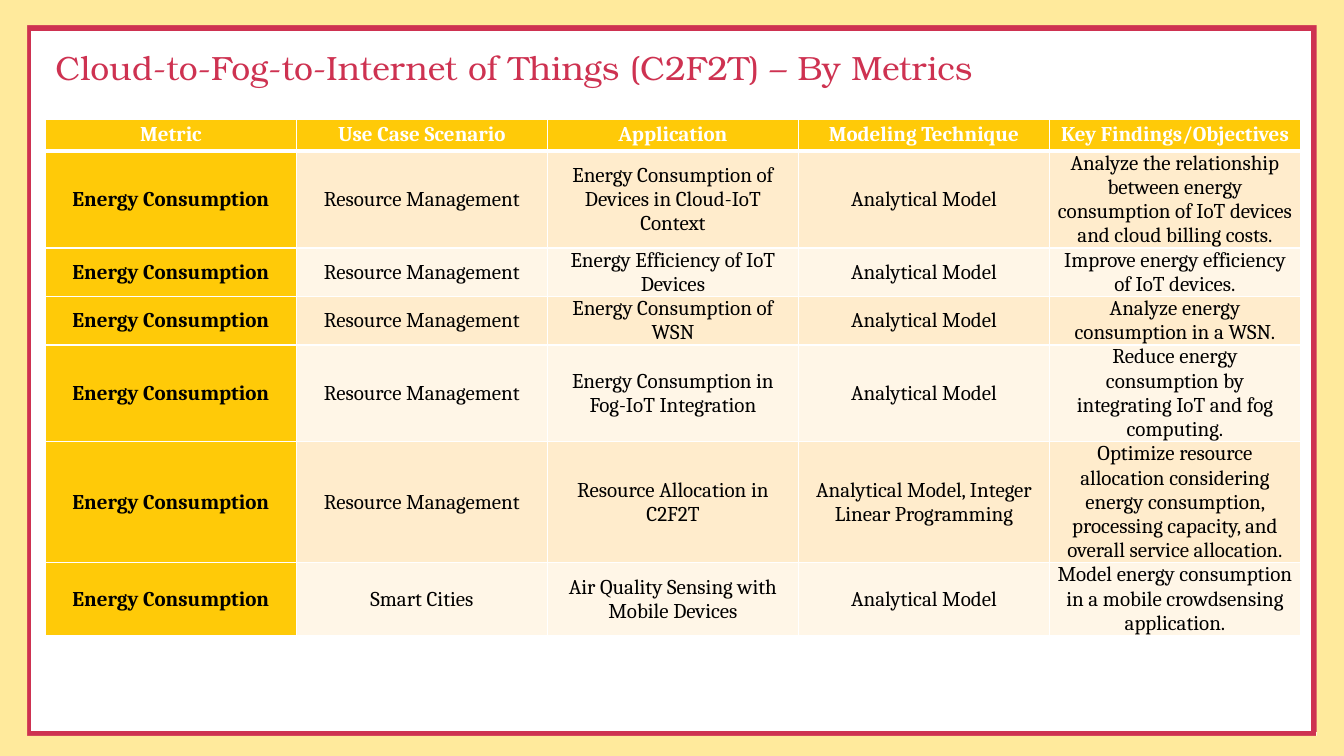
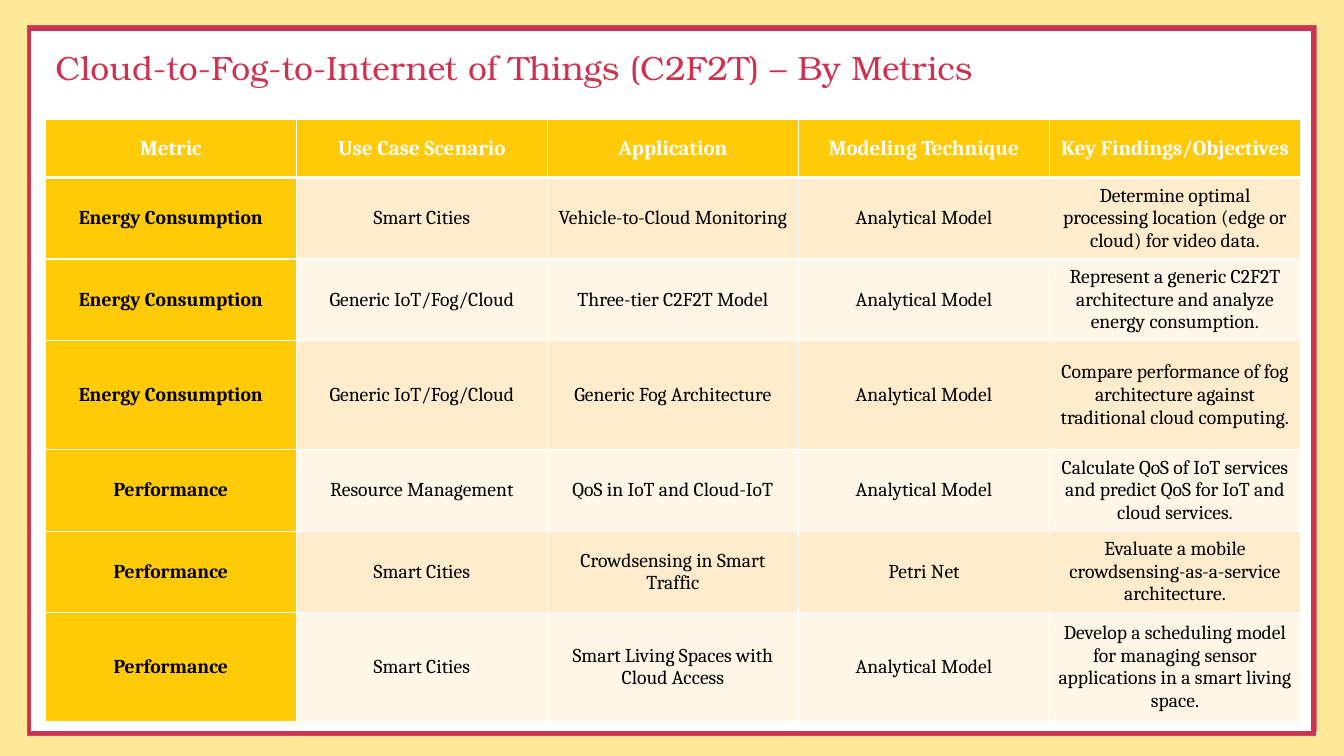
from dataclasses import dataclass

from lxml import etree
from pptx import Presentation
from pptx.dml.color import RGBColor
from pptx.enum.shapes import MSO_CONNECTOR, MSO_SHAPE
from pptx.enum.text import MSO_ANCHOR, MSO_AUTO_SIZE, PP_ALIGN
from pptx.oxml.ns import qn
from pptx.util import Inches, Pt

LINE, RECT = MSO_CONNECTOR.STRAIGHT, MSO_SHAPE.RECTANGLE
MIDDLE, FIXED = MSO_ANCHOR.MIDDLE, MSO_AUTO_SIZE.NONE
LEFT, CENTER = PP_ALIGN.LEFT, PP_ALIGN.CENTER


@dataclass(frozen=True)
class Theme:
    red: str = "CE3251"
    sand: str = "FFEA9C"
    gold: str = "FFCA08"
    peach: str = "FFECCC"
    cream: str = "FFF6E7"
    white: str = "FFFFFF"
    black: str = "000000"
    serif: str = "TeX Gyre Bonum"
    body: str = "Cambria"
    title: int = 24
    head: int = 15
    rule: float = 4.5


THEME = Theme()
TITLE = "Cloud-to-Fog-to-Internet of Things (C2F2T) – By Metrics"
HEADS = ("Metric", "Use Case Scenario", "Application",
         "Modeling Technique", "Key Findings/Objectives")
ENERGY, SPEED = "Energy Consumption", "Performance"
RESOURCE, CITY = "Resource Management", "Smart Cities"
GENERIC, MODEL = "Generic IoT/Fog/Cloud", "Analytical Model"

# Each page: body type size, space after, row heights, rows
PAGES = [
    {
        "size": 15, "after": 0,
        "heights": (0.32, 0.95, 0.48, 0.48, 0.96, 1.2, 0.72),
        "rows": [
            (ENERGY, RESOURCE, "Energy Consumption of Devices in Cloud-IoT Context", MODEL,
             "Analyze the relationship between energy consumption of IoT devices "
             "and cloud billing costs."),
            (ENERGY, RESOURCE, "Energy Efficiency of IoT Devices", MODEL,
             "Improve energy efficiency of IoT devices."),
            (ENERGY, RESOURCE, "Energy Consumption of WSN", MODEL,
             "Analyze energy consumption in a WSN."),
            (ENERGY, RESOURCE, "Energy Consumption in Fog-IoT Integration", MODEL,
             "Reduce energy consumption by integrating IoT and fog computing."),
            (ENERGY, RESOURCE, "Resource Allocation in C2F2T",
             "Analytical Model, Integer Linear Programming",
             "Optimize resource allocation considering energy consumption, "
             "processing capacity, and overall service allocation."),
            (ENERGY, CITY, "Air Quality Sensing with Mobile Devices", MODEL,
             "Model energy consumption in a mobile crowdsensing application."),
        ],
    },
    {
        "size": 14, "after": 8,
        "heights": (0.58, 0.81, 0.81, 1.08, 0.81, 0.81, 1.08),
        "rows": [
            (ENERGY, CITY, "Vehicle-to-Cloud Monitoring", MODEL,
             "Determine optimal processing location (edge or cloud) for video data."),
            (ENERGY, GENERIC, "Three-tier C2F2T Model", MODEL,
             "Represent a generic C2F2T architecture and analyze energy consumption."),
            (ENERGY, GENERIC, "Generic Fog Architecture", MODEL,
             "Compare performance of fog architecture against traditional cloud computing."),
            (SPEED, RESOURCE, "QoS in IoT and Cloud-IoT", MODEL,
             "Calculate QoS of IoT services and predict QoS for IoT and cloud services."),
            (SPEED, CITY, "Crowdsensing in Smart Traffic", "Petri Net",
             "Evaluate a mobile crowdsensing-as-a-service architecture."),
            (SPEED, CITY, "Smart Living Spaces with Cloud Access", MODEL,
             "Develop a scheduling model for managing sensor applications "
             "in a smart living space."),
        ],
    },
]

WIDE, HIGH = 13.33, 7.5
EDGE, SPAN = 0.45, 12.45
RULES = [(0.26, 7.28, 13.05, 7.28), (0.28, 0.28, 0.28, 7.3),
         (0.27, 0.28, 13.06, 0.28), (13.03, 0.24, 13.03, 7.26)]
BANDS = [(0, 0, WIDE, 0.25), (0, 7.3, WIDE, 0.2),
         (13.06, 0.25, 0.27, 7.05), (0, 0.25, 0.27, 7.05)]


def color(code):
    return RGBColor.from_string(code)


def write(para, text, font, size, ink, bold=False):
    run = para.add_run()
    run.text = text
    run.font.name, run.font.size, run.font.bold = font, Pt(size), bold
    run.font.color.rgb = color(ink)


def add_frame(slide, layout):
    """Draw the red rules and sand bands, then move them to the layout."""
    parts = []
    for ends in RULES:
        rule = slide.shapes.add_connector(LINE, *map(Inches, ends))
        rule.line.color.rgb = color(THEME.red)
        rule.line.width = Pt(THEME.rule)
        etree.SubElement(rule.element.spPr, qn("a:effectLst"))
        parts.append(rule.element)
    for area in BANDS:
        band = slide.shapes.add_shape(RECT, *map(Inches, area))
        band.shadow.inherit = False
        band.fill.solid()
        band.fill.fore_color.rgb = color(THEME.sand)
        band.line.fill.background()
        parts.append(band.element)
    tree = layout.shapes.element
    for spot, part in enumerate(parts, 2):
        tree.insert(spot, part)


def add_title(slide):
    title = slide.shapes.title
    title.left, title.top = Inches(EDGE), Inches(0.35)
    title.width, title.height = Inches(SPAN), Inches(0.69)
    frame = title.text_frame
    frame.auto_size, frame.word_wrap = FIXED, True
    frame.vertical_anchor = MIDDLE
    para = frame.paragraphs[0]
    para.alignment, para.line_spacing = LEFT, 0.9
    write(para, TITLE, THEME.serif, THEME.title, THEME.red)


def set_edges(cell, head, below):
    """Give a cell white borders, thick between header and body."""
    props = cell._tc.get_or_add_tcPr()
    widths = {"L": 1, "R": 1, "T": 3 if below else 1, "B": 3 if head else 1}
    for spot, (side, width) in enumerate(widths.items()):
        edge = etree.Element(qn(f"a:ln{side}"), w=str(Pt(width)))
        fill = etree.SubElement(edge, qn("a:solidFill"))
        etree.SubElement(fill, qn("a:srgbClr"), val=THEME.white)
        props.insert(spot, edge)


def fill_cell(cell, text, row, col, page):
    head = row == 0
    tint = THEME.peach if row % 2 else THEME.cream
    cell.fill.solid()
    cell.fill.fore_color.rgb = color(THEME.gold if head or col == 0 else tint)
    set_edges(cell, head, row == 1)
    cell.vertical_anchor = MIDDLE
    cell.margin_left = cell.margin_right = Inches(0.07)
    cell.margin_top = cell.margin_bottom = 0
    para = cell.text_frame.paragraphs[0]
    para.alignment = CENTER
    if not head:
        para.space_after = Pt(page["after"])
    write(para, text, THEME.body, THEME.head if head else page["size"],
          THEME.white if head else THEME.black, head or col == 0)


def add_grid(slide, page):
    rows, heights = [HEADS, *page["rows"]], page["heights"]
    table = slide.shapes.add_table(
        len(rows), len(HEADS), Inches(EDGE), Inches(1.18),
        Inches(SPAN), Inches(sum(heights))).table
    table.horz_banding = False
    for row, (texts, height) in enumerate(zip(rows, heights)):
        table.rows[row].height = Inches(height)
        for col, text in enumerate(texts):
            fill_cell(table.cell(row, col), text, row, col, page)


def main():
    deck = Presentation()
    deck.slide_width, deck.slide_height = Inches(WIDE), Inches(HIGH)
    layout = deck.slide_layouts.get_by_name("Title Only")
    for spot, page in enumerate(PAGES):
        slide = deck.slides.add_slide(layout)
        if spot == 0:
            add_frame(slide, layout)
        add_title(slide)
        add_grid(slide, page)
    deck.save("out.pptx")


if __name__ == "__main__":
    main()
